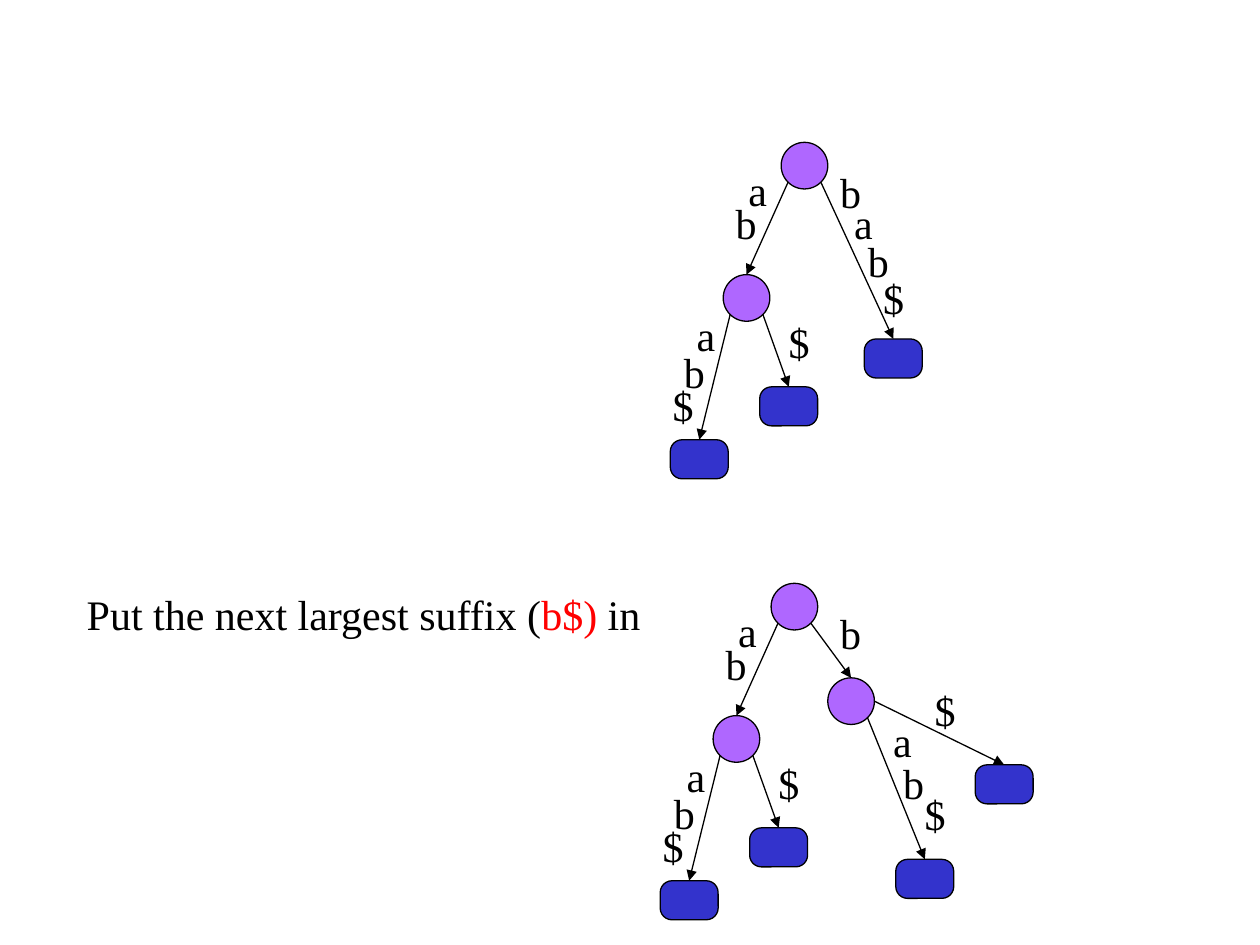
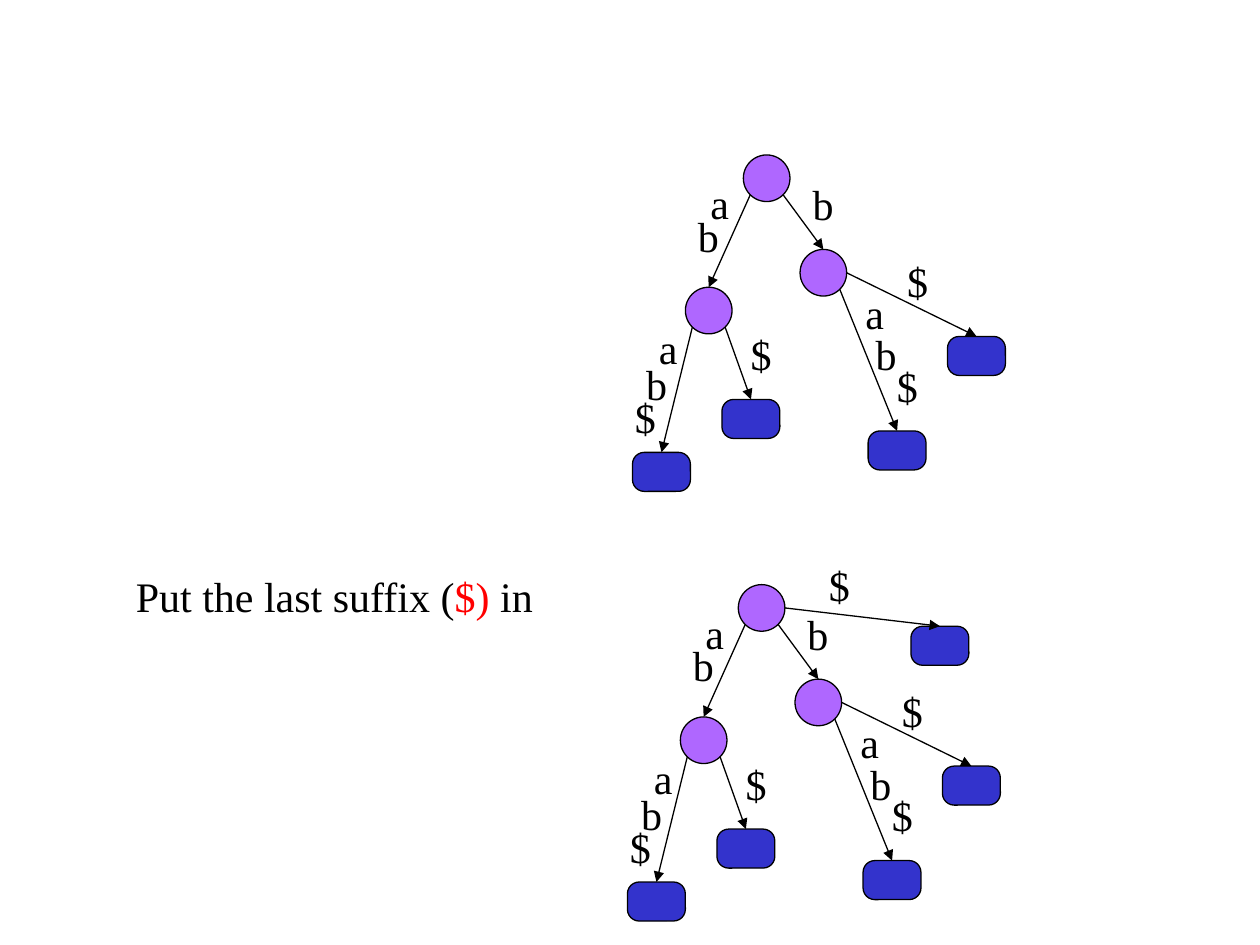
from dataclasses import dataclass

from lxml.etree import SubElement
from pptx import Presentation
from pptx.dml.color import RGBColor
from pptx.enum.shapes import MSO_CONNECTOR, MSO_SHAPE
from pptx.enum.text import MSO_AUTO_SIZE
from pptx.oxml.ns import qn
from pptx.util import Inches, Pt

COLOURS = {"node": "AF67FF", "leaf": "3333CC", "ink": "000000", "suffix": "FF0000"}
FONT = "Times New Roman"
TEXT_SIZE = Pt(24)
LINE_WIDTH = Pt(0.75)

# Sizes in inches
NODE_SIZE = (0.37, 0.37)
LEAF_SIZE = (0.46, 0.31)
LABEL_SIZE = (0.42, 0.5)

# Where an edge leaves a node, as shares of the node's size
EXITS = {"left": (0.15, 0.85), "right": (0.85, 0.85), "side": (1, 0.5)}


@dataclass
class Branch:
    """An edge and its child; places are inches from the root's corner."""
    parent: tuple
    exit: str
    child: tuple
    is_leaf: bool
    labels: list


ROOT = (0, 0)
AB_NODE = (-0.46, 1.05)
B_NODE = (0.45, 0.75)

AB_BRANCHES = [
    Branch(ROOT, "left", AB_NODE, False, [("a", -0.36, 0.13), ("b", -0.46, 0.39)]),
    Branch(AB_NODE, "left", (-0.88, 2.36), True,
           [("a", -0.77, 1.28), ("b", -0.87, 1.57), ("$", -0.96, 1.83)]),
    Branch(AB_NODE, "right", (-0.17, 1.94), True, [("$", -0.04, 1.33)]),
]
BAB_BRANCH = Branch(ROOT, "right", (0.66, 1.56), True,
                    [("b", 0.37, 0.14), ("a", 0.48, 0.39),
                     ("b", 0.59, 0.69), ("$", 0.71, 0.98)])
B_BRANCHES = [
    Branch(ROOT, "right", B_NODE, False, [("b", 0.45, 0.14)]),
    Branch(B_NODE, "right", (0.99, 2.19), True,
           [("a", 0.87, 1.0), ("b", 0.95, 1.33), ("$", 1.12, 1.58)]),
    Branch(B_NODE, "side", (1.62, 1.44), True, [("$", 1.2, 0.75)]),
]
END_BRANCH = Branch(ROOT, "side", (1.37, 0.33), True, [("$", 0.62, -0.25)])

# The tree after each insertion
TREE_BAB = AB_BRANCHES + [BAB_BRANCH]
TREE_B = AB_BRANCHES + B_BRANCHES
TREE_END = TREE_B + [END_BRANCH]


def colour(name):
    return RGBColor.from_string(COLOURS[name])


def add_text(slide, left, top, size, parts):
    """Add one line of text made of (words, colour name) parts."""
    box = slide.shapes.add_textbox(Inches(left), Inches(top), *map(Inches, size))
    frame = box.text_frame
    frame.word_wrap = True
    frame.auto_size = MSO_AUTO_SIZE.SHAPE_TO_FIT_TEXT
    for words, colour_name in parts:
        span = frame.paragraphs[0].add_run()
        span.text = words
        span.font.name = FONT
        span.font.size = TEXT_SIZE
        span.font.color.rgb = colour(colour_name)


def add_vertex(slide, left, top, is_leaf=False):
    """Add a round inner node or a rounded leaf."""
    preset = MSO_SHAPE.ROUNDED_RECTANGLE if is_leaf else MSO_SHAPE.OVAL
    size = LEAF_SIZE if is_leaf else NODE_SIZE
    vertex = slide.shapes.add_shape(preset, Inches(left), Inches(top), *map(Inches, size))
    vertex.shadow.inherit = False
    vertex.fill.solid()
    vertex.fill.fore_color.rgb = colour("leaf" if is_leaf else "node")
    vertex.line.color.rgb = colour("ink")
    vertex.line.width = LINE_WIDTH
    if is_leaf:
        vertex.adjustments[0] = 0.3


def add_arrow(slide, start, end):
    arrow = slide.shapes.add_connector(
        MSO_CONNECTOR.STRAIGHT, *map(Inches, start + end))
    arrow.line.color.rgb = colour("ink")
    arrow.line.width = LINE_WIDTH
    SubElement(arrow.line._get_or_add_ln(), qn("a:tailEnd"), type="triangle")
    SubElement(arrow._element.spPr, qn("a:effectLst"))


def add_tree(slide, left, top, branches):
    """Draw a suffix tree whose root has its corner at left, top."""
    add_vertex(slide, left, top)
    for branch in branches:
        child_left, child_top = left + branch.child[0], top + branch.child[1]
        child_width = (LEAF_SIZE if branch.is_leaf else NODE_SIZE)[0]
        share_x, share_y = EXITS[branch.exit]
        start = (left + branch.parent[0] + share_x * NODE_SIZE[0],
                 top + branch.parent[1] + share_y * NODE_SIZE[1])
        add_vertex(slide, child_left, child_top, branch.is_leaf)
        add_arrow(slide, start, (child_left + child_width / 2, child_top))
        for letter, label_left, label_top in branch.labels:
            add_text(slide, left + label_left, top + label_top, LABEL_SIZE,
                     [(letter, "ink")])


def add_step(deck, caption, caption_place, trees):
    """Add a slide with a caption and the trees before and after it."""
    slide = deck.slides.add_slide(deck.slide_layouts[6])
    before, suffix, after = caption
    left, top, width = caption_place
    add_text(slide, left, top, (width, 0.5),
             [(before, "ink"), (suffix, "suffix"), (after, "ink")])
    for tree_left, tree_top, branches in trees:
        add_tree(slide, tree_left, tree_top, branches)


def main():
    deck = Presentation()
    deck.slide_width, deck.slide_height = Inches(10), Inches(7.5)
    add_step(deck, ("Put the next largest suffix (", "b$)", " in"), (0.59, 4.62, 4.66),
             [(6.2, 1.13, TREE_BAB), (6.12, 4.63, TREE_B)])
    add_step(deck, ("Put the last suffix (", "$)", " in"), (0.98, 4.48, 3.83),
             [(5.9, 1.23, TREE_B), (5.86, 4.64, TREE_END)])
    deck.save("out.pptx")


if __name__ == "__main__":
    main()
